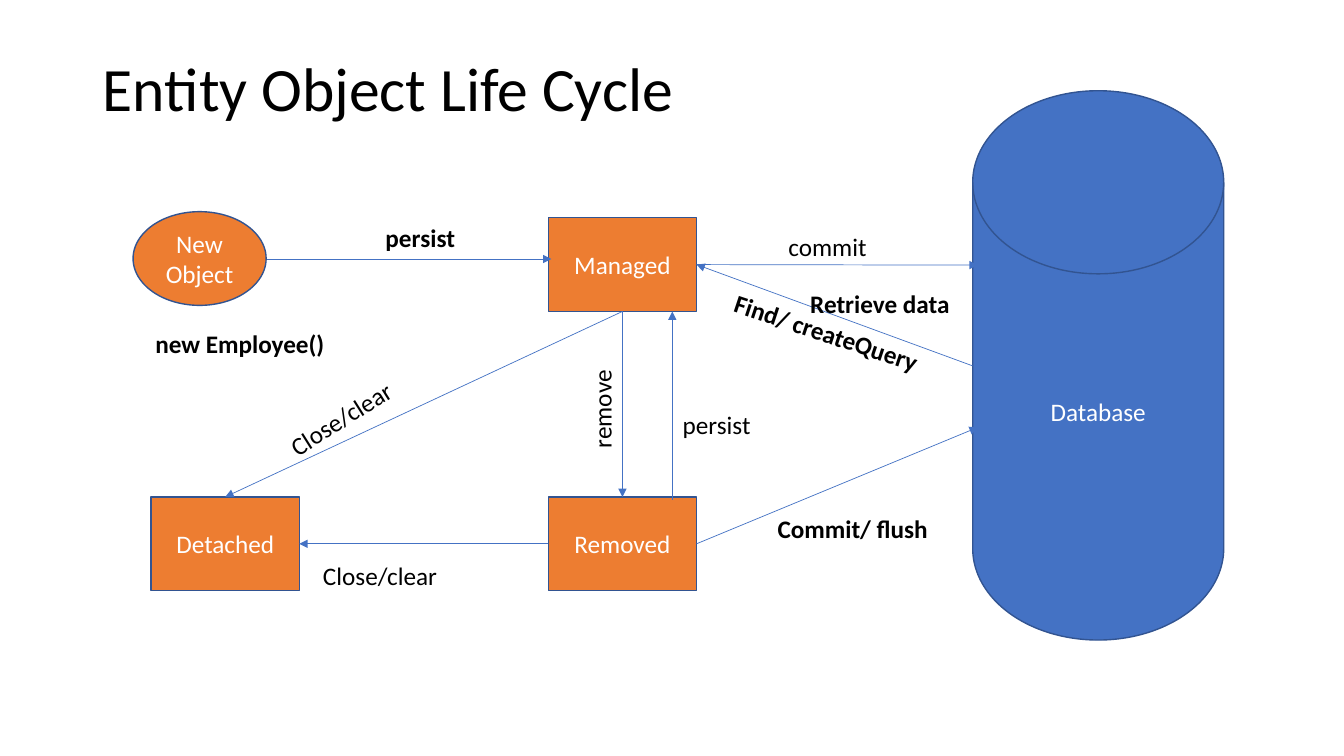
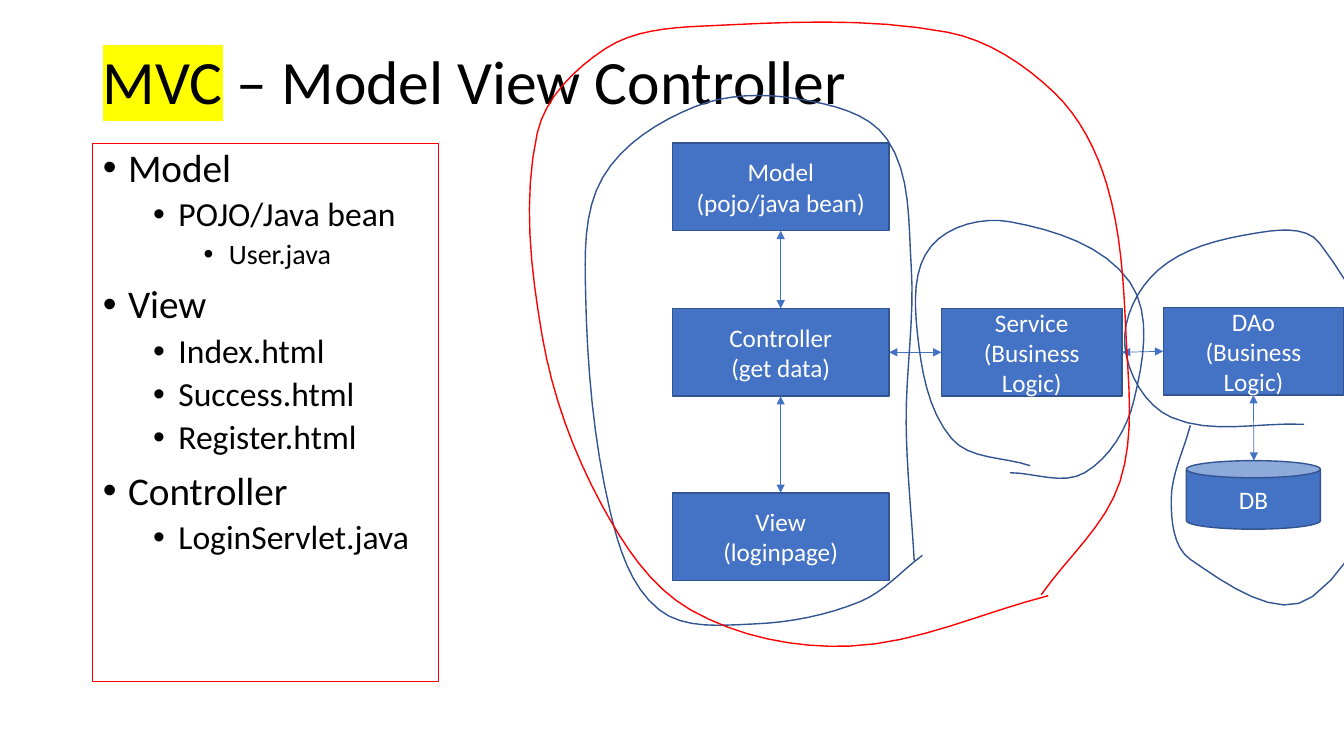
from math import dist

from lxml.etree import SubElement
from pptx import Presentation
from pptx.dml.color import RGBColor
from pptx.enum.shapes import MSO_CONNECTOR, MSO_SHAPE
from pptx.enum.text import MSO_ANCHOR, MSO_AUTO_SIZE, PP_ALIGN
from pptx.oxml.ns import qn
from pptx.util import Emu, Pt

PX = 9144  # 100 px to the inch
FONT = "Calibri"
BLACK, WHITE, RED, YELLOW = "000000", "FFFFFF", "FF0000", "FFFF00"
BLUE, DARK_BLUE, ORANGE = "4472C4", "325491", "ED7D31"
TOP, LEFT, BOTTOM, RIGHT = range(4)
SITES = [(0.5, 0), (0, 0.5), (0.5, 1), (1, 0.5)]
RECTANGLE = MSO_SHAPE.RECTANGLE

STATE_SIZE, LAYER_SIZE, LOGIC_SIZE = (147, 93), (215, 87), (179, 87)
STATE_LEFT, STATE_BOTTOM_ROW, LAYER_LEFT = 544, 493, 667

# Boxes: text, preset, fill, (left, top), (width, height)
LIFE_CYCLE_BOXES = [
    ("New Object", MSO_SHAPE.OVAL, ORANGE, (132, 210), (132, 93)),
    ("Database", MSO_SHAPE.FLOWCHART_MAGNETIC_DISK, BLUE, (965, 90), (249, 545)),
    ("Managed", RECTANGLE, ORANGE, (STATE_LEFT, 216), STATE_SIZE),
    ("Removed", RECTANGLE, ORANGE, (STATE_LEFT, STATE_BOTTOM_ROW), STATE_SIZE),
    ("Detached", RECTANGLE, ORANGE, (150, STATE_BOTTOM_ROW), STATE_SIZE),
]
# Arrow ends: (box, side) where joined, otherwise (x, y)
LIFE_CYCLE_ARROWS = [
    ((265, 257), (547, 257)),
    (("Managed", RIGHT), (970, 263)),
    ((965, 363), ("Managed", RIGHT)),
    (("Managed", BOTTOM), ("Removed", TOP)),
    (("Removed", LEFT), ("Detached", RIGHT)),
    ((667, 496), (667, 309)),
    (("Managed", BOTTOM), ("Detached", TOP)),
    (("Removed", RIGHT), (970, 424)),
]
# Labels: text, centre, bold, rotation
LABEL_SIZE = (220, 40)
LIFE_CYCLE_LABELS = [
    ("new Employee()", (238, 341), True, 0),
    ("persist", (417, 236), True, 0),
    ("commit", (821, 245), False, 0),
    ("Find/ createQuery", (820, 330), True, 18.4),
    ("Retrieve data", (873, 301), True, 0),
    ("remove", (597, 406), False, 270),
    ("Close/clear", (377, 571), False, 0),
    ("persist", (711, 421), False, 0),
    ("Commit/ flush", (846, 524), True, 0),
    ("Close/clear", (338, 415), False, 327.8),
]

MVC_OUTLINE = [
    (0, "Model"), (1, "POJO/Java bean"), (2, "User.java"),
    (0, "View"), (1, "Index.html"), (1, "Success.html"), (1, "Register.html"),
    (0, "Controller"), (1, "LoginServlet.java"),
]
OUTLINE_LEVELS = [(28, 10), (24, 5), (20, 5)]  # size, space before
MVC_BOXES = [
    ("View\n(loginpage)", RECTANGLE, BLUE, (LAYER_LEFT, 489), LAYER_SIZE),
    ("Controller\n(get data)", RECTANGLE, BLUE, (LAYER_LEFT, 306), LAYER_SIZE),
    ("Model\n(pojo/java bean)", RECTANGLE, BLUE, (LAYER_LEFT, 142), LAYER_SIZE),
    ("Service\n(Business Logic)", RECTANGLE, BLUE, (934, 306), LOGIC_SIZE),
    ("DAo\n(Business Logic)", RECTANGLE, BLUE, (1154, 305), LOGIC_SIZE),
    ("DB", MSO_SHAPE.CAN, BLUE, (1177, 457), (133, 68)),
]
MVC_ARROWS = [
    (("Controller", BOTTOM), ("View", TOP)),
    (("Model", BOTTOM), ("Controller", TOP)),
    (("Controller", RIGHT), ("Service", LEFT)),
    (("Service", RIGHT), ("DAo", LEFT)),
    (("DAo", BOTTOM), (1244, 457)),
]
# Hand-drawn loops: colour, points passed through
MVC_LOOPS = [
    (DARK_BLUE, [
        (915, 551), (853, 597), (748, 619), (654, 605), (605, 506), (581, 292),
        (598, 176), (689, 106), (791, 98), (880, 138), (904, 264), (899, 420),
        (907, 556)]),
    (DARK_BLUE, [
        (1022, 462), (944, 435), (910, 329), (924, 244), (1002, 220),
        (1121, 280), (1125, 397), (1076, 469), (1002, 469)]),
    (DARK_BLUE, [
        (1294, 421), (1162, 414), (1116, 343), (1149, 268), (1242, 232),
        (1309, 241), (1377, 410), (1302, 592), (1181, 555), (1162, 496),
        (1181, 422)]),
    (RED, [
        (1040, 591), (843, 641), (685, 605), (597, 501), (538, 334), (533, 132),
        (601, 48), (695, 26), (940, 32), (1046, 92), (1098, 183), (1117, 331),
        (1111, 478), (1033, 590)]),
]


def px(*lengths):
    return [Emu(round(length * PX)) for length in lengths]


def rgb(color):
    return RGBColor.from_string(color)


def set_font(paragraph, size, color=BLACK, bold=False):
    font = paragraph.font
    font.name, font.size, font.bold = FONT, Pt(size), bold
    font.color.rgb = rgb(color)


def set_line(shape, color, width):
    shape.line.color.rgb = rgb(color)
    shape.line.width = Pt(width)


def place(shape, left, top, width, height):
    shape.left, shape.top, shape.width, shape.height = px(left, top, width, height)


def set_title(slide, runs, height):
    """Fill the title from (text, highlight colour or None) pairs."""
    title = slide.shapes.title
    place(title, 92, 40, 1150, height)
    title.text_frame.vertical_anchor = MSO_ANCHOR.MIDDLE
    title.text_frame.auto_size = MSO_AUTO_SIZE.NONE
    paragraph = title.text_frame.paragraphs[0]
    paragraph.alignment = PP_ALIGN.LEFT
    paragraph.line_spacing = 0.9
    set_font(paragraph, 44)
    for text, highlight in runs:
        run = paragraph.add_run()
        run.text = text
        if highlight:
            mark = SubElement(run._r.get_or_add_rPr(), qn("a:highlight"))
            SubElement(mark, qn("a:srgbClr"), val=highlight)


def add_boxes(slide, boxes):
    """Draw the boxes and return them by their first line of text."""
    shapes = {}
    for text, preset, fill, corner, size in boxes:
        shape = slide.shapes.add_shape(preset, *px(*corner, *size))
        shape.shadow.inherit = False
        shape.fill.solid()
        shape.fill.fore_color.rgb = rgb(fill)
        set_line(shape, DARK_BLUE, 1)
        shape.text_frame.text = text
        shape.text_frame.vertical_anchor = MSO_ANCHOR.MIDDLE
        for paragraph in shape.text_frame.paragraphs:
            paragraph.alignment = PP_ALIGN.CENTER
            set_font(paragraph, 18, WHITE)
        shapes[text.split("\n")[0]] = shape
    return shapes


def end_point(end, boxes):
    if end[0] not in boxes:
        return px(*end)
    shape = boxes[end[0]]
    across, down = SITES[end[1]]
    return [Emu(int(shape.left + across * shape.width)),
            Emu(int(shape.top + down * shape.height))]


def add_arrows(slide, arrows, boxes, heads):
    for start, finish in arrows:
        connector = slide.shapes.add_connector(
            MSO_CONNECTOR.STRAIGHT, *end_point(start, boxes), *end_point(finish, boxes))
        if start[0] in boxes:
            connector.begin_connect(boxes[start[0]], start[1])
        if finish[0] in boxes:
            connector.end_connect(boxes[finish[0]], finish[1])
        set_line(connector, BLUE, 0.5)
        for head in heads:
            SubElement(connector.line._get_or_add_ln(), qn(head), type="triangle")
        SubElement(connector._element.spPr, qn("a:effectLst"))


def add_labels(slide, labels):
    width, height = LABEL_SIZE
    for text, (center, middle), bold, rotation in labels:
        label = slide.shapes.add_textbox(
            *px(center - width / 2, middle - height / 2, width, height))
        label.rotation = rotation
        label.text_frame.word_wrap = True
        label.text_frame.text = text
        paragraph = label.text_frame.paragraphs[0]
        paragraph.alignment = PP_ALIGN.CENTER
        set_font(paragraph, 18, bold=bold)


def fill_outline(body, items):
    place(body, 92, 142, 343, 534)
    set_line(body, RED, 0.75)
    frame = body.text_frame
    frame.auto_size = MSO_AUTO_SIZE.NONE
    frame.text = "\n".join(text for _, text in items)
    for index, (level, _) in enumerate(items):
        paragraph = frame.paragraphs[index]
        size, space = OUTLINE_LEVELS[level]
        paragraph.level = level
        paragraph.line_spacing = 0.9
        paragraph.space_before = Pt(space if index else 0)
        properties = paragraph._p.get_or_add_pPr()
        properties.set("marL", str(px(25 + 50 * level)[0]))
        properties.set("indent", str(px(-25)[0]))
        SubElement(properties, qn("a:buFont"), typeface="Arial")
        SubElement(properties, qn("a:buChar"), char="•")
        set_font(paragraph, size)


def smooth(points, steps=8):
    """Return points along a curve whose tangents follow the neighbours."""
    last = len(points) - 1
    tangents = []
    for index in range(last + 1):
        before, after = points[max(index - 1, 0)], points[min(index + 1, last)]
        length = dist(before, after)
        tangents.append([(b - a) / length for a, b in zip(before, after)])
    curve = [points[0]]
    for index in range(last):
        start, finish = points[index], points[index + 1]
        reach = dist(start, finish) / 3
        for step in range(1, steps + 1):
            t = step / steps
            u = 1 - t
            curve.append([
                u**3 * a + 3 * u * u * t * (a + reach * out)
                + 3 * u * t * t * (b - reach * into) + t**3 * b
                for a, b, out, into in zip(
                    start, finish, tangents[index], tangents[index + 1])])
    return curve


def add_loops(slide, loops):
    for color, points in loops:
        curve = [px(*point) for point in smooth(points)]
        builder = slide.shapes.build_freeform(*curve[0])
        builder.add_line_segments(curve[1:], close=False)
        loop = builder.convert_to_shape()
        loop.shadow.inherit = False
        loop.fill.background()
        set_line(loop, color, 1)


def main():
    presentation = Presentation()
    presentation.slide_width, presentation.slide_height = Emu(12192000), Emu(6858000)
    layouts = presentation.slide_layouts

    slide = presentation.slides.add_slide(layouts.get_by_name("Title Only"))
    set_title(slide, [("Entity Object Life Cycle", None)], 101)
    boxes = add_boxes(slide, LIFE_CYCLE_BOXES)
    add_arrows(slide, LIFE_CYCLE_ARROWS, boxes, ["a:tailEnd"])
    add_labels(slide, LIFE_CYCLE_LABELS)

    slide = presentation.slides.add_slide(layouts.get_by_name("Title and Content"))
    set_title(slide, [("MVC", YELLOW), (" – Model View Controller", None)], 87)
    fill_outline(slide.placeholders[1], MVC_OUTLINE)
    boxes = add_boxes(slide, MVC_BOXES)
    add_arrows(slide, MVC_ARROWS, boxes, ["a:headEnd", "a:tailEnd"])
    add_loops(slide, MVC_LOOPS)

    presentation.save("out.pptx")


if __name__ == "__main__":
    main()
